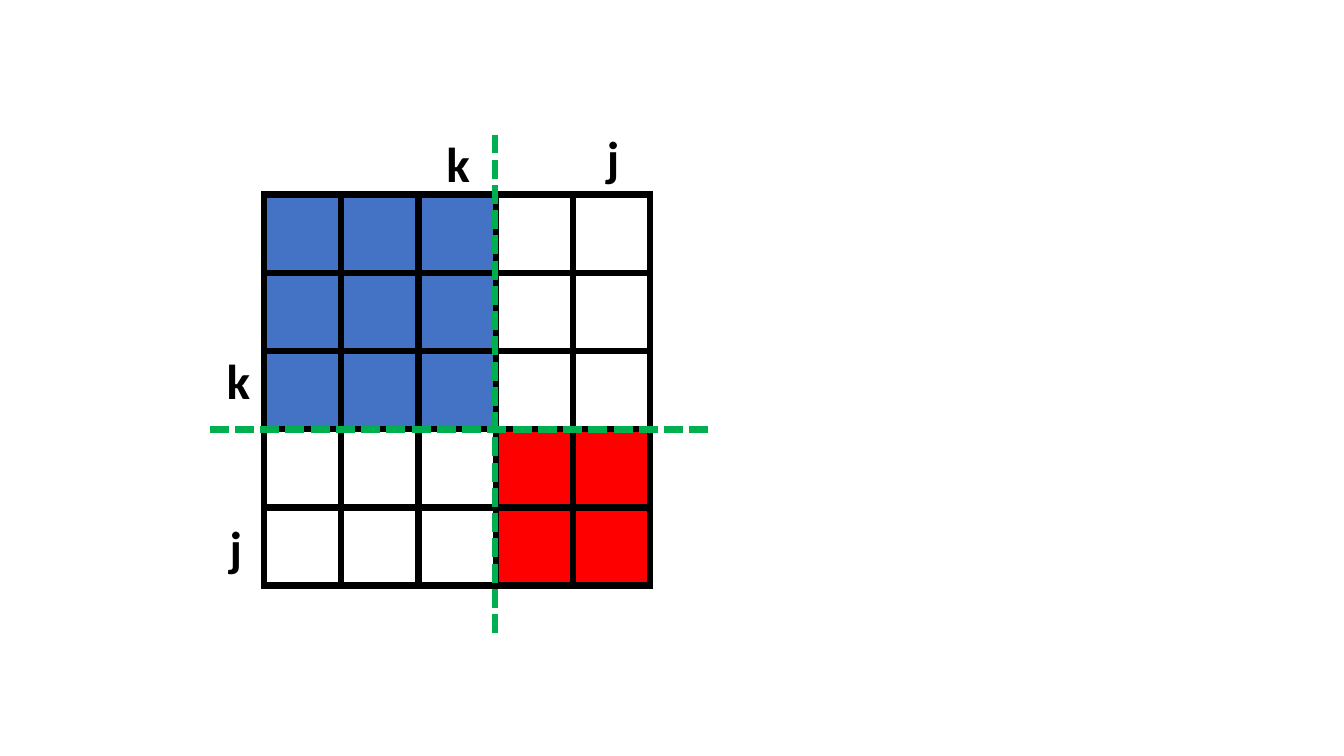
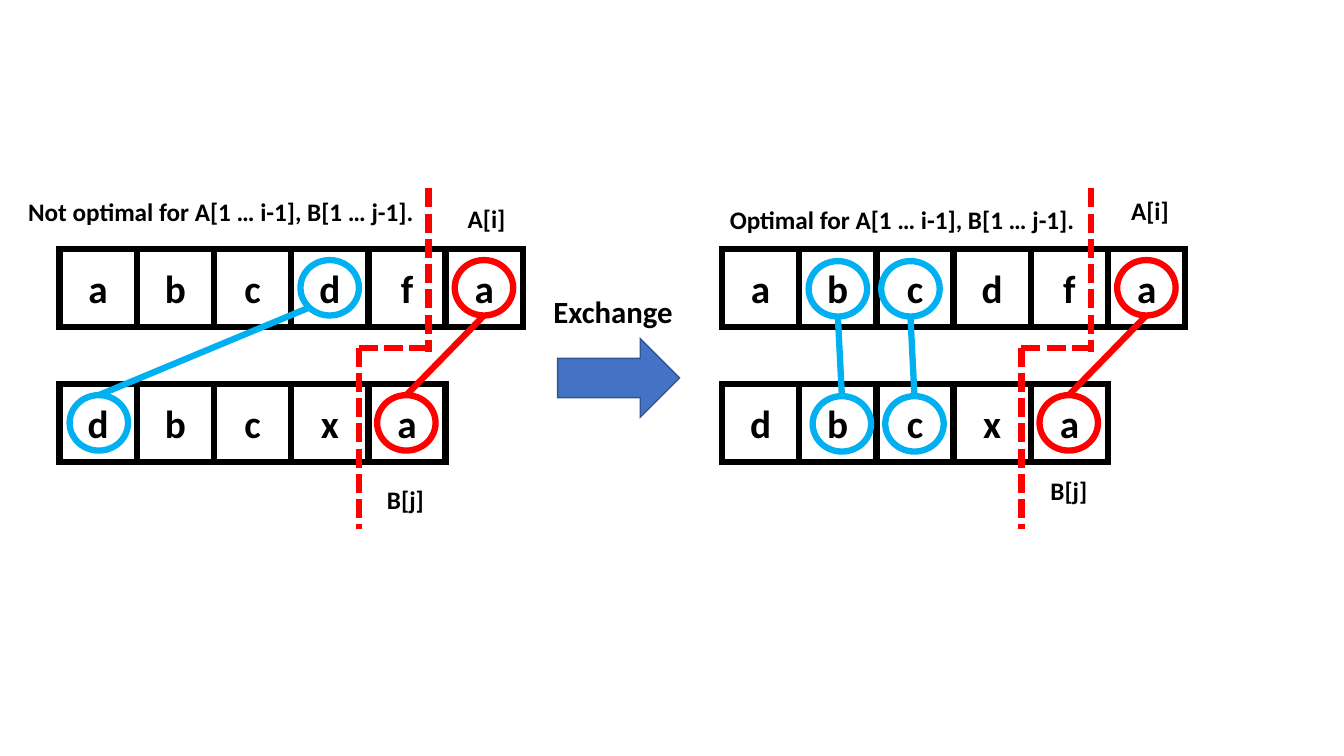
"""Build two slides: a split matrix and an exchange step on two sequences."""
from pptx import Presentation
from pptx.dml.color import RGBColor
from pptx.enum import dml, shapes, text as text_enum
from pptx.oxml.ns import qn
from pptx.util import Inches, Pt

BLACK = RGBColor(0x00, 0x00, 0x00)
BLUE = RGBColor(0x44, 0x72, 0xC4)
DARK_BLUE = RGBColor(0x32, 0x54, 0x91)
SKY = RGBColor(0x00, 0xB0, 0xF0)
RED = RGBColor(0xFF, 0x00, 0x00)
GREEN = RGBColor(0x00, 0xB0, 0x50)
FONT = "Calibri"
STROKE = 4.5
CELL_WIDTH = 3.83 / 5
CELL_HEIGHT = 3.88 / 5
CIRCLE_WIDTH = 0.58
CIRCLE_HEIGHT = 0.55
RECTANGLE = shapes.MSO_SHAPE.RECTANGLE
OVAL = shapes.MSO_SHAPE.OVAL


def add_item(slide, text, box, kind=None, fill=None, line=BLACK,
             weight=STROKE, size=28, wrap=False):
    """Add a text box, or a preset shape when a kind is given."""
    lengths = [Inches(value) for value in box]
    if kind is None:
        shape = slide.shapes.add_textbox(*lengths)
    else:
        shape = slide.shapes.add_shape(kind, *lengths)
        shape.shadow.inherit = False
        if fill is None:
            shape.fill.background()
        else:
            shape.fill.solid()
            shape.fill.fore_color.rgb = fill
        shape.line.color.rgb = line
        shape.line.width = Pt(weight)
        outline = shape.line._get_or_add_ln()
        miter = outline.makeelement(qn("a:miter"), {"lim": "800000"})
        outline.append(miter)
    if text:
        frame = shape.text_frame
        frame.word_wrap = wrap
        paragraph = frame.paragraphs[0]
        if kind is not None:
            frame.vertical_anchor = text_enum.MSO_ANCHOR.MIDDLE
            paragraph.alignment = text_enum.PP_ALIGN.CENTER
        run = paragraph.add_run()
        run.text = text
        run.font.name = FONT
        run.font.size = Pt(size)
        run.font.bold = True
        run.font.color.rgb = BLACK


def add_line(slide, start, end, color, dashed=False):
    """Add a straight line between two points."""
    points = [Inches(value) for value in (*start, *end)]
    connector = slide.shapes.add_connector(shapes.MSO_CONNECTOR.STRAIGHT, *points)
    connector.line.color.rgb = color
    connector.line.width = Pt(STROKE)
    if dashed:
        connector.line.dash_style = dml.MSO_LINE.SQUARE_DOT
    properties = connector._element.spPr
    properties.append(properties.makeelement(qn("a:effectLst"), {}))


presentation = Presentation()
presentation.slide_width = Inches(13.33)
presentation.slide_height = Inches(7.5)
blank_layout = presentation.slide_layouts[6]

matrix_slide = presentation.slides.add_slide(blank_layout)
MATRIX_LEFT, MATRIX_TOP, MATRIX_SIZE, SPLIT = 2.62, 1.93, 5, 3
for row in range(MATRIX_SIZE):
    for column in range(MATRIX_SIZE):
        fill = None
        if row < SPLIT and column < SPLIT:
            fill = BLUE
        elif row >= SPLIT and column >= SPLIT:
            fill = RED
        box = (MATRIX_LEFT + column * CELL_WIDTH, MATRIX_TOP + row * CELL_HEIGHT,
               CELL_WIDTH, CELL_HEIGHT)
        add_item(matrix_slide, "", box, RECTANGLE, fill=fill)

add_line(matrix_slide, (2.08, 4.26), (7.04, 4.26), GREEN, dashed=True)
add_line(matrix_slide, (4.91, 6.28), (4.91, 1.33), GREEN, dashed=True)
for label, box in (
    ("j", (5.92, 1.22, 0.27, 0.71)),
    ("j", (2.18, 5.08, 0.33, 0.69)),
    ("k", (2.15, 3.43, 0.39, 0.69)),
    ("k", (4.33, 1.28, 0.39, 0.69)),
):
    add_item(matrix_slide, label, box, size=35, wrap=True)

exchange_slide = presentation.slides.add_slide(blank_layout)
PANEL_LEFTS = (0.59, 7.16)
SEQUENCES = (("abcdfa", 2.47), ("dbcxa", 3.81))
DIVIDERS = (
    ((3.66, 1.87), (3.66, 3.49)),
    ((2.97, 3.45), (3.65, 3.45)),
    ((2.97, 3.45), (2.97, 5.25)),
)
LAST_MATCH = (3.92, 2.58, 3.15, 3.92, RED, None)
PANEL_MATCHES = (
    (LAST_MATCH, (2.39, 2.58, 0.1, 3.92, SKY, (2.48, 3.05))),
    (LAST_MATCH, (0.86, 2.59, 0.9, 3.93, SKY, None),
     (1.58, 2.59, 1.62, 3.93, SKY, None)),
)
for panel_left, matches in zip(PANEL_LEFTS, PANEL_MATCHES):
    for letters, top in SEQUENCES:
        for index, letter in enumerate(letters):
            box = (panel_left + index * CELL_WIDTH, top, CELL_WIDTH, CELL_HEIGHT)
            add_item(exchange_slide, letter, box, RECTANGLE)
    for upper_x, upper_y, lower_x, lower_y, color, link_start in matches:
        for x, y in ((upper_x, upper_y), (lower_x, lower_y)):
            box = (panel_left + x, y, CIRCLE_WIDTH, CIRCLE_HEIGHT)
            add_item(exchange_slide, "", box, OVAL, line=color)
        start_x, start_y = link_start or (upper_x + CIRCLE_WIDTH / 2,
                                          upper_y + CIRCLE_HEIGHT)
        add_line(exchange_slide, (panel_left + start_x, start_y),
                 (panel_left + lower_x + CIRCLE_WIDTH / 2, lower_y), color)
    for (start_x, start_y), (end_x, end_y) in DIVIDERS:
        add_line(exchange_slide, (panel_left + start_x, start_y),
                 (panel_left + end_x, end_y), RED, dashed=True)

add_item(exchange_slide, "", (5.53, 3.36, 1.21, 0.78),
         shapes.MSO_SHAPE.RIGHT_ARROW, fill=BLUE, line=DARK_BLUE, weight=1)
add_item(exchange_slide, "Exchange", (5.39, 2.86, 1.4, 0.47), size=22)
for label, left, top, width in (
    ("Not optimal for A[1 … i-1], B[1 … j-1].", 0.18, 1.9, 4.07),
    ("A[i]", 4.54, 1.97, 0.64),
    ("B[j]", 3.74, 4.76, 0.57),
    ("Optimal for A[1 … i-1], B[1 … j-1].", 7.14, 1.98, 3.66),
    ("A[i]", 11.12, 1.89, 0.64),
    ("B[j]", 10.32, 4.67, 0.57),
):
    add_item(exchange_slide, label, (left, top, width, 0.4), size=18)

presentation.save("out.pptx")
